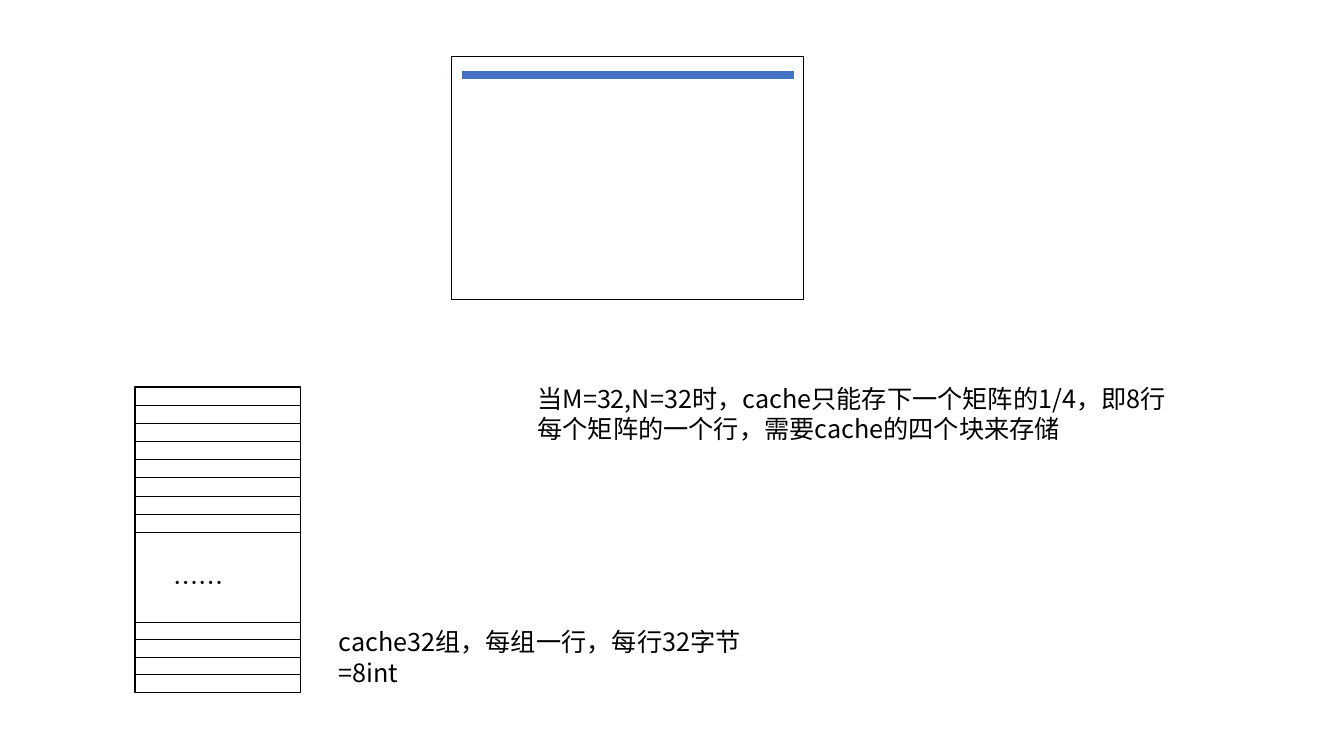
from lxml.etree import SubElement
from pptx import Presentation
from pptx.dml.color import RGBColor
from pptx.enum.shapes import MSO_CONNECTOR, MSO_SHAPE
from pptx.enum.text import MSO_AUTO_SIZE
from pptx.oxml.ns import qn
from pptx.util import Inches, Pt

FONT = "Noto Sans CJK SC"
BLACK, WHITE, BLUE = "000000", "FFFFFF", "4472C4"

presentation = Presentation()
presentation.slide_width = Inches(13.33)
presentation.slide_height = Inches(7.5)
slide = presentation.slides.add_slide(presentation.slide_layouts[6])

# The slide is a grid of 100 columns and 100 rows
column = presentation.slide_width / 100
row = presentation.slide_height / 100


def color(hex_string):
    return RGBColor.from_string(hex_string)


def add_line(left, right, top, hex_string, width):
    """Draw a horizontal line between two columns at a row."""
    line = slide.shapes.add_connector(
        MSO_CONNECTOR.STRAIGHT,
        int(left * column), int(top * row), int(right * column), int(top * row))
    line.line.color.rgb = color(hex_string)
    line.line.width = Pt(width)
    SubElement(line._element.spPr, qn("a:effectLst"))


# Matrix and cache frames
cache_left, cache_top, cache_width, cache_height = 10.05, 51.2, 12.3, 40.4
frames = [
    (33.6, 7.45, 26.2, 32.15),
    (cache_left, cache_top, cache_width, cache_height),
]
for left, top, width, height in frames:
    frame = slide.shapes.add_shape(
        MSO_SHAPE.RECTANGLE,
        int(left * column), int(top * row), int(width * column), int(height * row))
    frame.shadow.inherit = False
    frame.fill.solid()
    frame.fill.fore_color.rgb = color(WHITE)
    frame.line.color.rgb = color(BLACK)
    frame.line.width = Pt(1)

# First matrix row
add_line(34.35, 59.05, 9.9, BLUE, 6)

# Cache lines: eight from the top, four from the bottom
cache_bottom = cache_top + cache_height
upper_lines = [cache_top + 2.4 * number for number in range(1, 9)]
lower_lines = [cache_bottom - 2.33 * number for number in range(1, 5)]
for line_top in upper_lines + lower_lines:
    add_line(cache_left, cache_left + cache_width, line_top, BLACK, 0.5)

# Labels
labels = [
    (24.45, 82.25, 35.35, 5.35, ["cache32组，每组一行，每行32字节=8int"]),
    (12.15, 74.4, 8.2, 5.35, ["……"]),
    (39.25, 50, 50.35, 9.45, [
        "当M=32,N=32时，cache只能存下一个矩阵的1/4，即8行",
        "每个矩阵的一个行，需要cache的四个块来存储",
    ]),
]
for left, top, width, height, texts in labels:
    label = slide.shapes.add_textbox(
        int(left * column), int(top * row), int(width * column), int(height * row))
    text_frame = label.text_frame
    text_frame.word_wrap = True
    text_frame.auto_size = MSO_AUTO_SIZE.SHAPE_TO_FIT_TEXT
    text_frame.text = "\n".join(texts)
    for paragraph in text_frame.paragraphs:
        paragraph.font.size = Pt(18)
        paragraph.font.color.rgb = color(BLACK)
        paragraph.font.name = FONT
        SubElement(paragraph.font._element, qn("a:ea"), typeface=FONT)

presentation.save("out.pptx")
